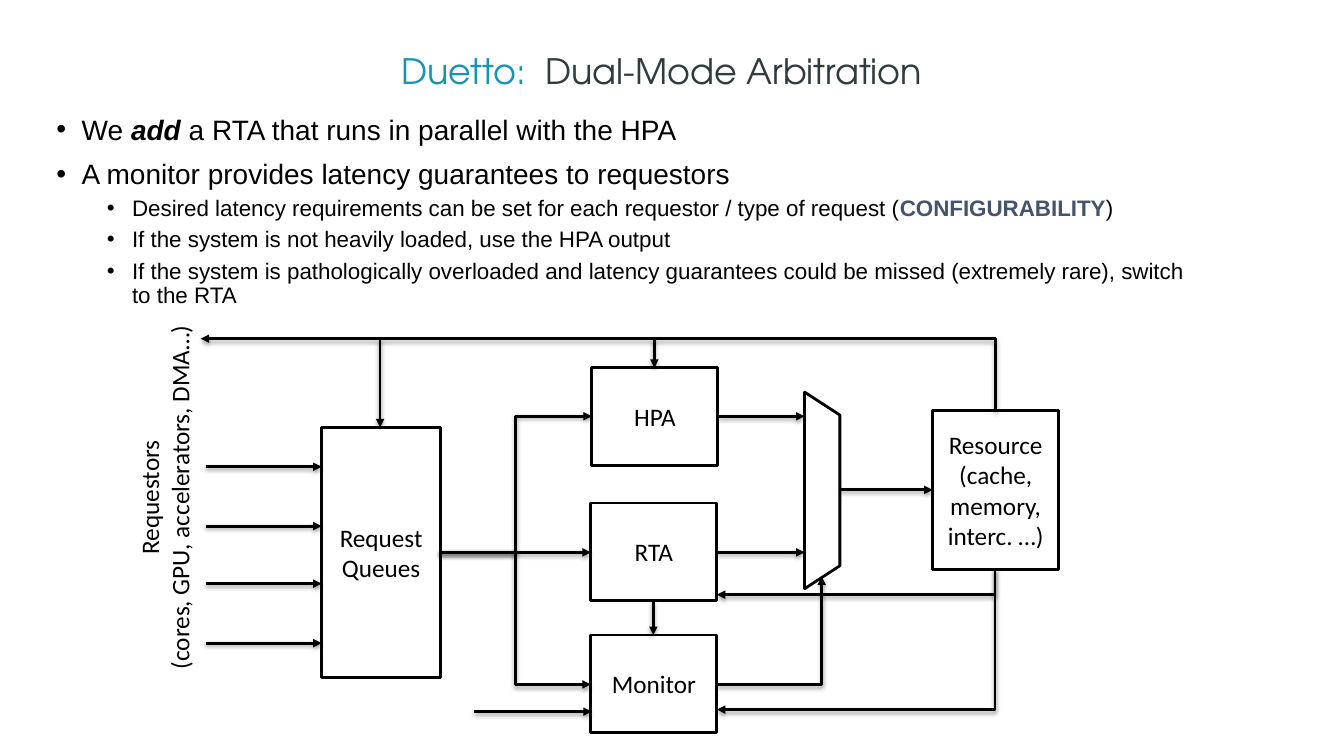
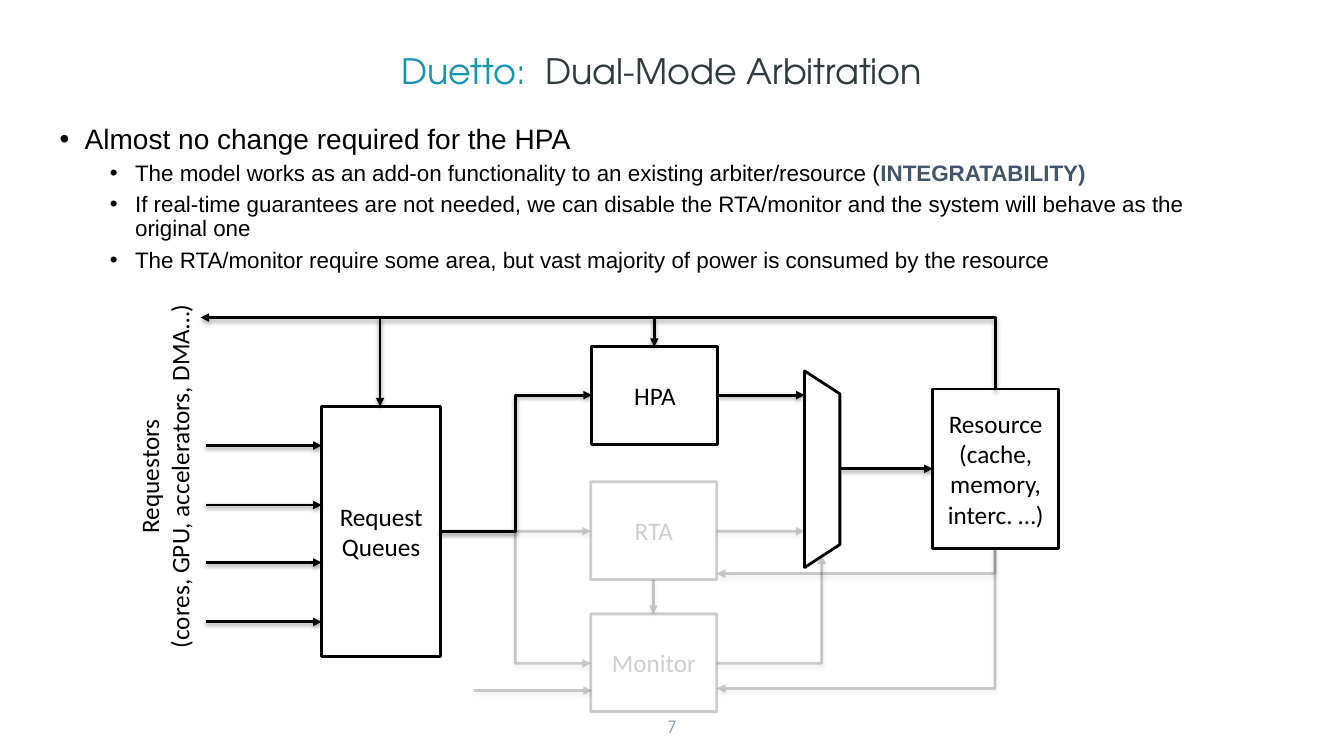
from dataclasses import dataclass

from lxml import etree
from pptx import Presentation
from pptx.dml.color import RGBColor
from pptx.enum import shapes, text
from pptx.oxml.ns import qn
from pptx.util import Inches, Pt

BLACK = RGBColor(0x00, 0x00, 0x00)
WHITE = RGBColor(0xFF, 0xFF, 0xFF)
TEAL = RGBColor(0x16, 0x94, 0xB2)
CHARCOAL = RGBColor(0x30, 0x3B, 0x3F)
SLATE = RGBColor(0x44, 0x54, 0x6A)
PAGE_GREY = RGBColor(0x84, 0x98, 0xA0)
FADED_TEXT = RGBColor(0xD0, 0xCE, 0xCE)
TITLE_FONT = "TeX Gyre Adventor"
BODY_FONT = "Arial"
DIAGRAM_FONT = "Calibri"
SLIDE_WIDTH = 13.33
LINE_WIDTH = Pt(2)
FADED_ALPHA = "20000"
STRAIGHT, CORNER, STEP = "line", "bentConnector2", "bentConnector3"


@dataclass(frozen=True)
class Span:
    words: str
    color: RGBColor = BLACK
    bold: bool = False
    italic: bool = False


@dataclass(frozen=True)
class Bullet:
    spans: tuple[Span, ...]
    level: int = 1


@dataclass(frozen=True)
class Block:
    label: str
    left: float
    top: float
    width: float = 1.25
    height: float = 0.97
    optional: bool = False


@dataclass(frozen=True)
class Link:
    start: tuple[float, float]
    end: tuple[float, float]
    route: str = STRAIGHT
    optional: bool = False
    arrow: str = "tailEnd"


@dataclass(frozen=True)
class Content:
    bullets: tuple[Bullet, ...]
    left: float
    top: float
    width: float
    rise: float = 0
    faded: bool = False
    number: str = ""


BLOCKS = (
    Block("Request Queues", 3.19, 4.24, 1.18, 2.48),
    Block("HPA", 5.87, 3.65),
    Block("RTA", 5.86, 4.99, optional=True),
    Block("Monitor", 5.86, 6.3, optional=True),
    Block("Resource\n(cache, memory, interc. …)", 9.25, 4.07, height=1.58),
)
QUEUE_EXIT = (4.36, 5.48)
LINKS = (
    *(Link((2.04, y), (3.19, y)) for y in (4.63, 5.22, 5.79, 6.38)),
    Link((7.12, 4.13), (7.98, 4.13)),
    Link((7.11, 5.48), (7.98, 5.48), optional=True),
    Link((8.33, 4.86), (9.25, 4.86)),
    Link((6.48, 5.96), (6.48, 6.3), optional=True),
    Link((7.11, 6.79), (8.15, 5.72), CORNER, optional=True),
    Link(QUEUE_EXIT, (5.87, 4.13), STEP),
    Link(QUEUE_EXIT, (5.86, 6.79), STEP, optional=True),
    Link(QUEUE_EXIT, (5.86, 5.48), optional=True),
    Link((3.77, 3.36), (3.77, 4.24)),
    Link((6.49, 3.36), (6.49, 3.65)),
    Link((7.11, 5.9), (9.87, 5.65), CORNER, True, "headEnd"),
    Link((7.11, 7.04), (9.87, 5.65), CORNER, True, "headEnd"),
    Link((1.99, 3.36), (9.87, 4.07), CORNER, arrow="headEnd"),
    Link((4.7, 7.06), (5.87, 7.06), optional=True),
)
CONTENTS = (
    Content(
        (
            Bullet((Span("We "), Span("add", bold=True, italic=True),
                    Span(" a RTA that runs in parallel with the HPA")), 0),
            Bullet((Span("A monitor provides latency guarantees to requestors"),), 0),
            Bullet((Span("Desired latency requirements can be set for each requestor / type of request ("),
                    Span("CONFIGURABILITY", SLATE, True), Span(")"))),
            Bullet((Span("If the system is not heavily loaded, use the HPA output"),)),
            Bullet((Span("If the system is pathologically overloaded and latency guarantees "
                         "could be missed (extremely rare), switch to the RTA"),)),
        ),
        0.46, 1.1, 11.5,
    ),
    Content(
        (
            Bullet((Span("Almost no change required for the HPA"),), 0),
            Bullet((Span("The model works as an add-on functionality to an existing arbiter/resource ("),
                    Span("INTEGRATABILITY)", SLATE, True))),
            Bullet((Span("If real-time guarantees are not needed, we can disable the RTA/monitor "
                         "and the system will behave as the original one"),)),
            Bullet((Span("The RTA/monitor require some area, but vast majority of power "
                         "is consumed by the resource"),)),
        ),
        0.49, 1.19, 11.85, rise=0.21, faded=True, number="7",
    ),
)


def place(box, left: float, top: float, width: float, height: float) -> None:
    box.left, box.top = Inches(left), Inches(top)
    box.width, box.height = Inches(width), Inches(height)


def style_run(run, font: str, size: float, color: RGBColor, bold: bool = False, italic: bool = False) -> None:
    run.font.name, run.font.size = font, Pt(size)
    run.font.bold, run.font.italic = bold, italic
    run.font.color.rgb = color


def style_label(frame, color: RGBColor) -> None:
    for para in frame.paragraphs:
        para.alignment = text.PP_ALIGN.CENTER
        for run in para.runs:
            style_run(run, DIAGRAM_FONT, 18, color)


def style_line(item, faded: bool) -> None:
    item.line.width = LINE_WIDTH
    item.line.color.rgb = BLACK
    if faded:
        color = item.element.xpath("./p:spPr/a:ln/a:solidFill/a:srgbClr")[0]
        etree.SubElement(color, qn("a:alpha"), val=FADED_ALPHA)


def add_title(page) -> None:
    title = page.shapes.title
    place(title, 0, 0.26, SLIDE_WIDTH, 0.75)
    frame = title.text_frame
    frame.auto_size = text.MSO_AUTO_SIZE.NONE
    frame.vertical_anchor = text.MSO_ANCHOR.BOTTOM
    frame.margin_right = Inches(0.3)
    para = frame.paragraphs[0]
    para.alignment = text.PP_ALIGN.CENTER
    para.line_spacing = 0.7
    for words, font, size, color in (
        ("Duetto:", TITLE_FONT, 25, TEAL),
        (" ", BODY_FONT, 50, BLACK),
        ("Dual-Mode Arbitration", TITLE_FONT, 25, CHARCOAL),
    ):
        run = para.add_run()
        run.text = words
        style_run(run, font, size, color)


def add_bullets(page, content: Content) -> None:
    body = page.placeholders[1]
    place(body, content.left, content.top, content.width, 2.01)
    frame = body.text_frame
    frame.auto_size = text.MSO_AUTO_SIZE.NONE
    frame.vertical_anchor = text.MSO_ANCHOR.TOP
    for index, bullet in enumerate(content.bullets):
        para = frame.add_paragraph() if index else frame.paragraphs[0]
        para.level = bullet.level
        properties = para._p.get_or_add_pPr()
        properties.set("marL", str(Inches(0.25 + 0.5 * bullet.level)))
        properties.set("indent", str(Inches(-0.25)))
        etree.SubElement(properties, qn("a:buFont"), typeface=BODY_FONT)
        etree.SubElement(properties, qn("a:buChar"), char="•")
        para.line_spacing = 0.9
        para.space_before = Pt((5 if bullet.level else 10) if index else 0)
        for span in bullet.spans:
            run = para.add_run()
            run.text = span.words
            style_run(run, BODY_FONT, 16 if bullet.level else 20, span.color, span.bold, span.italic)


def add_page_number(page, number: str) -> None:
    box = page.shapes.add_textbox(Inches(0), Inches(7.12), Inches(SLIDE_WIDTH), Inches(0.24))
    frame = box.text_frame
    frame.word_wrap = True
    frame.vertical_anchor = text.MSO_ANCHOR.BOTTOM
    frame.text = number
    para = frame.paragraphs[0]
    para.alignment = text.PP_ALIGN.CENTER
    para.line_spacing = 0.9
    style_run(para.runs[0], TITLE_FONT, 12, PAGE_GREY)


def add_outline(page, kind, left: float, top: float, width: float, height: float, faded: bool = False):
    box = page.shapes.add_shape(kind, Inches(left), Inches(top), Inches(width), Inches(height))
    box.shadow.inherit = False
    box.fill.solid()
    box.fill.fore_color.rgb = WHITE
    style_line(box, faded)
    return box


def add_block(page, block: Block, rise: float, faded: bool) -> None:
    box = add_outline(page, shapes.MSO_SHAPE.RECTANGLE, block.left, block.top - rise,
                      block.width, block.height, faded)
    frame = box.text_frame
    frame.word_wrap = True
    frame.vertical_anchor = text.MSO_ANCHOR.MIDDLE
    frame.text = block.label
    style_label(frame, FADED_TEXT if faded else BLACK)


def add_multiplexer(page, rise: float) -> None:
    box = add_outline(page, shapes.MSO_SHAPE.TRAPEZOID, 7.18, 4.69 - rise, 1.95, 0.35)
    box.adjustments[0] = 0.65
    box.rotation = 90


def add_link(page, link: Link, rise: float, faded: bool) -> None:
    (x1, y1), (x2, y2) = link.start, link.end
    kind = shapes.MSO_CONNECTOR.STRAIGHT if link.route == STRAIGHT else shapes.MSO_CONNECTOR.ELBOW
    connector = page.shapes.add_connector(kind, Inches(x1), Inches(y1 - rise), Inches(x2), Inches(y2 - rise))
    connector.element.xpath("./p:spPr/a:prstGeom")[0].set("prst", link.route)
    style_line(connector, faded)
    line = connector.element.xpath("./p:spPr/a:ln")[0]
    etree.SubElement(line, qn(f"a:{link.arrow}"), type="triangle")
    effects = etree.SubElement(line.getparent(), qn("a:effectLst"))
    shadow = etree.SubElement(effects, qn("a:outerShdw"), blurRad="40000", dist="20000",
                              dir="5400000", rotWithShape="0")
    color = etree.SubElement(shadow, qn("a:srgbClr"), val=str(BLACK))
    etree.SubElement(color, qn("a:alpha"), val="38000")


def add_requestors(page, rise: float) -> None:
    box = page.shapes.add_textbox(Inches(-0.19), Inches(4.58 - rise), Inches(3.65), Inches(0.71))
    box.rotation = 270
    frame = box.text_frame
    frame.word_wrap = False
    frame.text = "Requestors\n(cores, GPU, accelerators, DMA…)"
    style_label(frame, BLACK)


def add_diagram(page, content: Content) -> None:
    for block in BLOCKS:
        add_block(page, block, content.rise, content.faded and block.optional)
    add_multiplexer(page, content.rise)
    for link in LINKS:
        add_link(page, link, content.rise, content.faded and link.optional)
    add_requestors(page, content.rise)


def main() -> None:
    deck = Presentation()
    deck.slide_width, deck.slide_height = Inches(SLIDE_WIDTH), Inches(7.5)
    for content in CONTENTS:
        page = deck.slides.add_slide(deck.slide_layouts[1])
        add_title(page)
        add_bullets(page, content)
        if content.number:
            add_page_number(page, content.number)
        add_diagram(page, content)
    deck.save("out.pptx")


if __name__ == "__main__":
    main()
